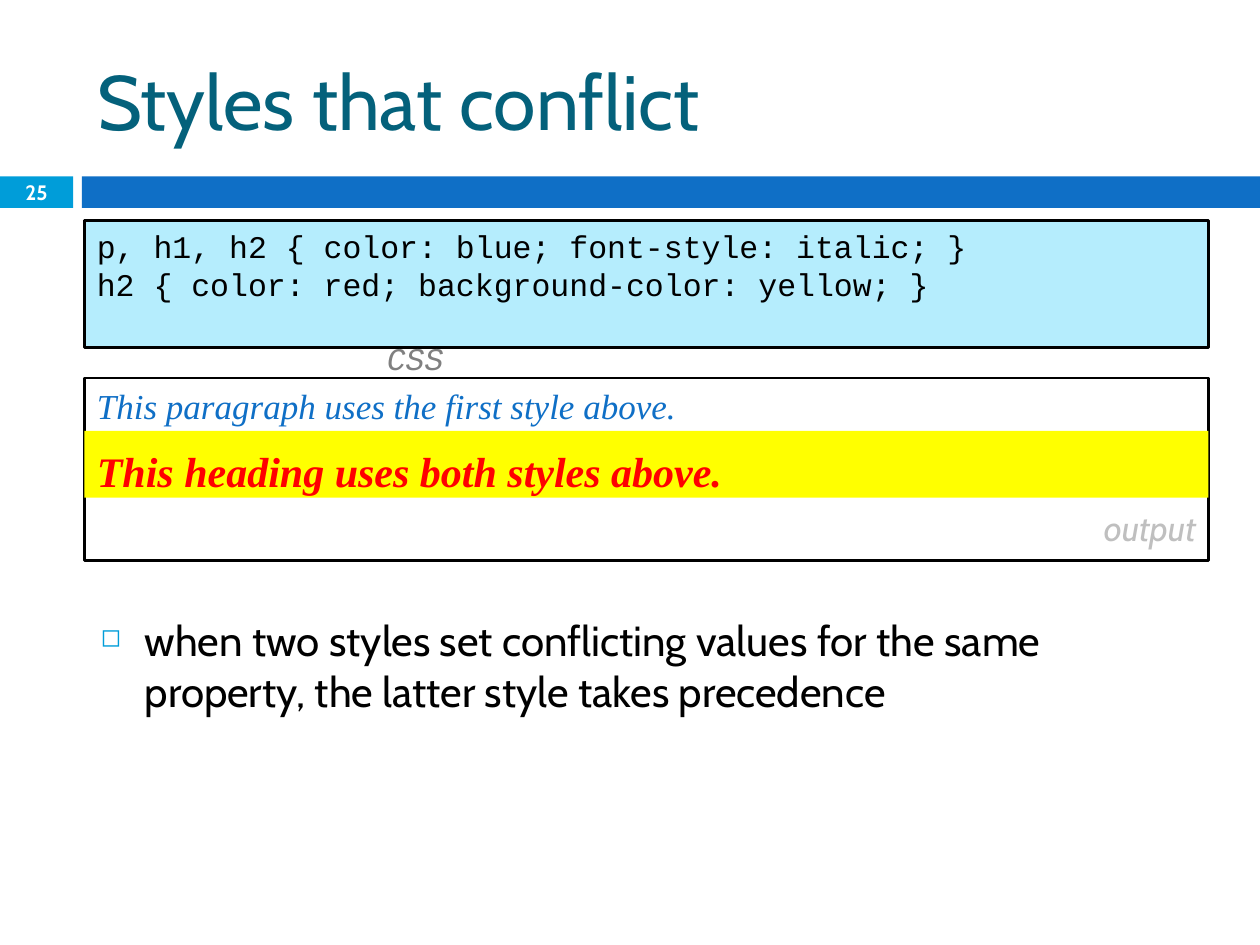
from pptx import Presentation
from pptx.dml.color import RGBColor as Rgb
from pptx.enum.shapes import MSO_SHAPE as Shape
from pptx.enum.text import MSO_ANCHOR as Anchor, PP_ALIGN as Align
from pptx.oxml.ns import qn
from pptx.util import Inches, Pt
from lxml.etree import SubElement as Sub

COLORS = {
    "title": "04617B", "tab": "009DD9", "bar": "0F6FC6", "code": "B5EDFD",
    "black": "000000", "white": "FFFFFF", "yellow": "FFFF00", "red": "FF0000",
    "gray": "808080", "pale": "BFBFBF",
}
SANS, MONO, SERIF = "Cabin", "Courier New", "Times New Roman"
COLS, ROWS = 100, 75
LEFT, WIDE = 6.7, 89.2


class Deck:
    def __init__(self):
        self.prs = Presentation()
        self.prs.slide_width, self.prs.slide_height = Inches(10), Inches(7.5)
        self.slide = self.prs.slides.add_slide(self.prs.slide_layouts[5])

    def area(self, col, row, cols, rows):
        wide, high = self.prs.slide_width / COLS, self.prs.slide_height / ROWS
        return [int(n) for n in (col * wide, row * high, cols * wide, rows * high)]

    def style(self, para, font, size, color, bold=False, italic=False):
        for run in para.runs:
            face = run.font
            face.name, face.size = font, Pt(size)
            face.bold, face.italic = bold, italic
            face.color.rgb = Rgb.from_string(COLORS[color])

    def words(self, frame, text, *look, align=Align.LEFT, anchor=Anchor.TOP, **more):
        frame.text = text
        frame.word_wrap = True
        frame.vertical_anchor = anchor
        for para in frame.paragraphs:
            para.alignment = align
            self.style(para, *look, **more)

    def title(self, text, *area):
        head = self.slide.shapes.title
        head.left, head.top, head.width, head.height = self.area(*area)
        self.words(head.text_frame, text, SANS, 44, "title", anchor=Anchor.MIDDLE)

    def rect(self, fill, *area, line=None):
        box = self.slide.shapes.add_shape(Shape.RECTANGLE, *self.area(*area))
        box.shadow.inherit = False
        box.fill.solid()
        box.fill.fore_color.rgb = Rgb.from_string(COLORS[fill])
        if line:
            box.line.color.rgb = Rgb.from_string(COLORS[line])
            box.line.width = Pt(1.5)
        else:
            box.line.fill.background()
        return box.text_frame

    def label(self, *area):
        return self.slide.shapes.add_textbox(*self.area(*area)).text_frame

    def bullet(self, para, mark, color):
        props = para._p.get_or_add_pPr()
        props.set("marL", str(Inches(0.35)))
        props.set("indent", str(-Inches(0.35)))
        Sub(Sub(props, qn("a:buClr")), qn("a:srgbClr")).set("val", COLORS[color])
        Sub(props, qn("a:buSzPct")).set("val", "60000")
        Sub(props, qn("a:buChar")).set("char", mark)


def main():
    deck = Deck()
    tab = deck.rect("tab", 0, 14, 5.8, 2.5)
    tab.margin_left = tab.margin_right = tab.margin_top = tab.margin_bottom = 0
    deck.words(tab, "25", SANS, 11.9, "white", bold=True,
               align=Align.CENTER, anchor=Anchor.MIDDLE)
    deck.rect("bar", 6.5, 14, 93.5, 2.5)
    deck.title("Styles that conflict", LEFT, 2.5, WIDE, 10.8)

    code = deck.rect("code", LEFT, 17.5, WIDE, 10.1, line="black")
    deck.words(code, "p, h1, h2 { color: blue; font-style: italic; }\n"
               "h2 { color: red; background-color: yellow; }", MONO, 18, "black")
    tag = deck.label(30.7, 26.9, 8, 2.9)
    tag.margin_left = tag.margin_right = tag.margin_top = tag.margin_bottom = 0
    deck.words(tag, "CSS", MONO, 18, "gray", italic=True)

    page = deck.rect("white", LEFT, 30, WIDE, 14.5, line="black")
    deck.words(page, "This paragraph uses the first style above.\noutput",
               SERIF, 20, "bar", italic=True)
    note = page.paragraphs[1]
    note.alignment, note.space_before = Align.RIGHT, Pt(46)
    deck.style(note, SANS, 20, "pale", italic=True)

    body = deck.label(7, 48.3, WIDE, 16.7)
    deck.words(body, "when two styles set conflicting values for the same property, "
               "the latter style takes precedence", SANS, 24, "black")
    deck.bullet(body.paragraphs[0], "◻", "tab")

    head = deck.rect("yellow", LEFT, 34.2, WIDE, 5.3)
    head.margin_top, head.margin_bottom = Inches(0.1), 0
    deck.words(head, "This heading uses both styles above.", SERIF, 24, "red",
               bold=True, italic=True, anchor=Anchor.MIDDLE)
    deck.prs.save("out.pptx")


if __name__ == "__main__":
    main()
